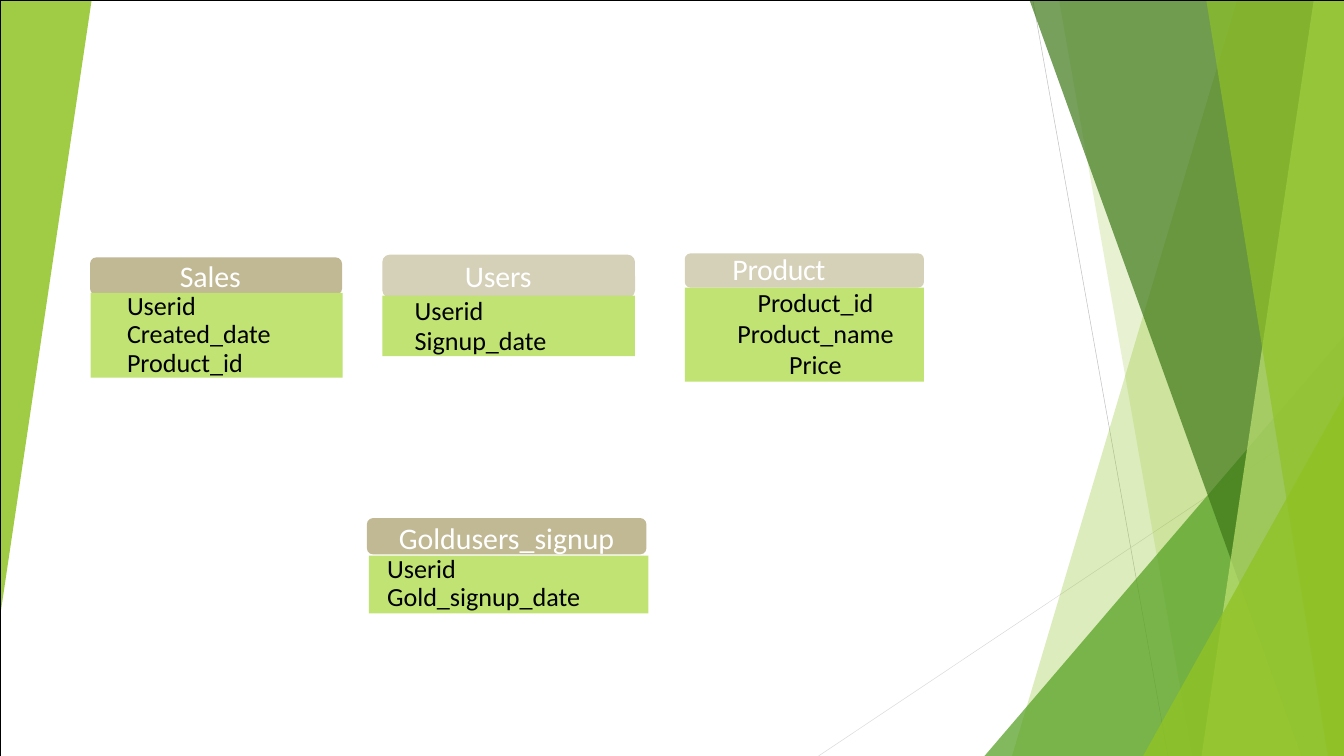
"""Build a slide of four database tables between green facets."""
from lxml import etree
from pptx import Presentation
from pptx import util as u
from pptx.dml.color import RGBColor
from pptx.enum import shapes, text
from pptx.oxml import ns

Inches, Pt = u.Inches, u.Pt
HUES = {
    "lime": "90C225", "pale": "C0E374", "green": "539F20", "dark": "3E7818",
    "tan": "C1B894", "sand": "D5D0B8", "grey": "BEBEBE", "mist": "D9D9D9",
    "white": "FFFFFF", "black": "000000",
}


def paint(shape, hue, alpha=100):
    shape.shadow.inherit = False
    shape.line.fill.background()
    shape.fill.solid()
    shape.fill.fore_color.rgb = RGBColor.from_string(HUES[hue])
    if alpha < 100:
        clr = shape.fill._xPr.find(".//" + ns.qn("a:srgbClr"))
        etree.SubElement(clr, ns.qn("a:alpha"), val=str(alpha * 1000))


def write(shape, lines, size, hue, align="LEFT", margin=0, indent=0,
          lead=None, before=0, top=0, track=0):
    frame = shape.text_frame
    frame.word_wrap = True
    frame.vertical_anchor = text.MSO_ANCHOR.TOP
    frame.margin_left = frame.margin_right = frame.margin_bottom = 0
    frame.margin_top = Inches(top)
    for i, line in enumerate(lines):
        para = frame.add_paragraph() if i else frame.paragraphs[0]
        para.alignment = getattr(text.PP_ALIGN, align)
        para.line_spacing = lead
        para.space_before = Pt(before)
        props = para._p.get_or_add_pPr()
        props.set("marL", str(Inches(margin)))
        props.set("indent", str(Inches(indent)))
        run = para.add_run()
        run.text = line
        run.font.name = "Calibri"
        run.font.size = Pt(size)
        run.font.color.rgb = RGBColor.from_string(HUES[hue])
        if track:
            run._r.get_or_add_rPr().set("spc", str(track))


prs = Presentation()
prs.slide_width, prs.slide_height = Inches(20), Inches(11.25)
slide = prs.slides.add_slide(prs.slide_layouts[6])
items = slide.shapes

for hue, *ends in [("grey", 15.37, 0, 17.38, 11.25), ("mist", 12.18, 11.25, 20, 6.03)]:
    line = items.add_connector(shapes.MSO_CONNECTOR.STRAIGHT, *map(Inches, ends))
    line.line.color.rgb = RGBColor.from_string(HUES[hue])
    line.line.width = Pt(0.5)
    etree.SubElement(line._element.spPr, ns.qn("a:effectLst"))

facets = [
    ("lime", 30, [(20, 11.25), (15.06, 11.25), (18.41, 0), (20, 0)]),
    ("lime", 20, [(20, 11.25), (17.74, 11.25), (15.76, 0), (20, 0)]),
    ("green", 72, [(20, 11.25), (14.65, 11.25), (20, 5)]),
    ("dark", 70, [(20, 11.25), (19.37, 11.25), (15.32, 0), (20, 0)]),
    ("pale", 70, [(20, 11.25), (17.88, 11.25), (19.55, 0), (20, 0)]),
    ("lime", 65, [(20, 11.25), (19.76, 11.25), (17.95, 0), (20, 0)]),
    ("lime", 80, [(20, 11.25), (17.01, 11.25), (20, 5.89)]),
    ("lime", 85, [(0, 9.18), (0, -0.11), (1.38, -0.11)]),
]
for hue, alpha, spots in facets:
    first, *rest = [(Inches(x), Inches(y)) for x, y in spots]
    build = items.build_freeform(*first)
    build.add_line_segments(rest, close=True)
    paint(build.convert_to_shape(), hue, alpha)

tables = [
    ("Sales", "tan", (1.34, 3.83, 3.75, 0.56), (2.22, 3.83, 1.81, 0.55),
     dict(align="CENTER", margin=0.01, top=0.01, before=0.9, track=-10),
     (1.35, 4.36, 3.75, 1.26), ["Userid", "Created_date", "Product_id"],
     dict(margin=0.54, lead=Pt(30.1))),
    ("Users", "sand", (5.69, 3.79, 3.76, 0.64), (6.91, 3.82, 1.5, 0.56),
     dict(margin=0.01, top=0.01, before=1.1, track=-20),
     (5.69, 4.4, 3.76, 0.9), ["Userid", "Signup_date"],
     dict(margin=0.48, lead=Pt(32.4))),
    ("Product", "sand", (10.19, 3.77, 3.56, 0.51), (10.89, 3.72, 2.16, 0.56),
     dict(margin=0.01, top=0.01, before=1.1, track=-40),
     (10.19, 4.28, 3.56, 1.4), ["Product_id", "Product_name", "Price"],
     dict(align="CENTER", margin=0.37, indent=-0.04, lead=0.99, before=0.1)),
    ("Goldusers_signup", "tan", (5.46, 7.71, 4.16, 0.54), None,
     dict(align="CENTER"),
     (5.49, 8.27, 4.16, 0.86), ["Userid", "Gold_signup_date"],
     dict(margin=0.05, indent=0.22, lead=0.79, before=3.5, top=0.05)),
]
for name, hue, head, label, style, body, fields, look in tables:
    cap = items.add_shape(shapes.MSO_SHAPE.ROUNDED_RECTANGLE, *map(Inches, head))
    cap.adjustments[0] = 0.17
    paint(cap, hue)
    title = items.add_textbox(*map(Inches, label)) if label else cap
    write(title, [name], 32, "white", **style)
    box = items.add_shape(shapes.MSO_SHAPE.RECTANGLE, *map(Inches, body))
    paint(box, "pale")
    write(box, fields, 28, "black", **look)

frame = items.add_shape(shapes.MSO_SHAPE.RECTANGLE, 0, 0, prs.slide_width, prs.slide_height)
frame.shadow.inherit = False
frame.fill.background()
frame.line.color.rgb = RGBColor.from_string(HUES["black"])
frame.line.width = Pt(0.25)

prs.save("out.pptx")
